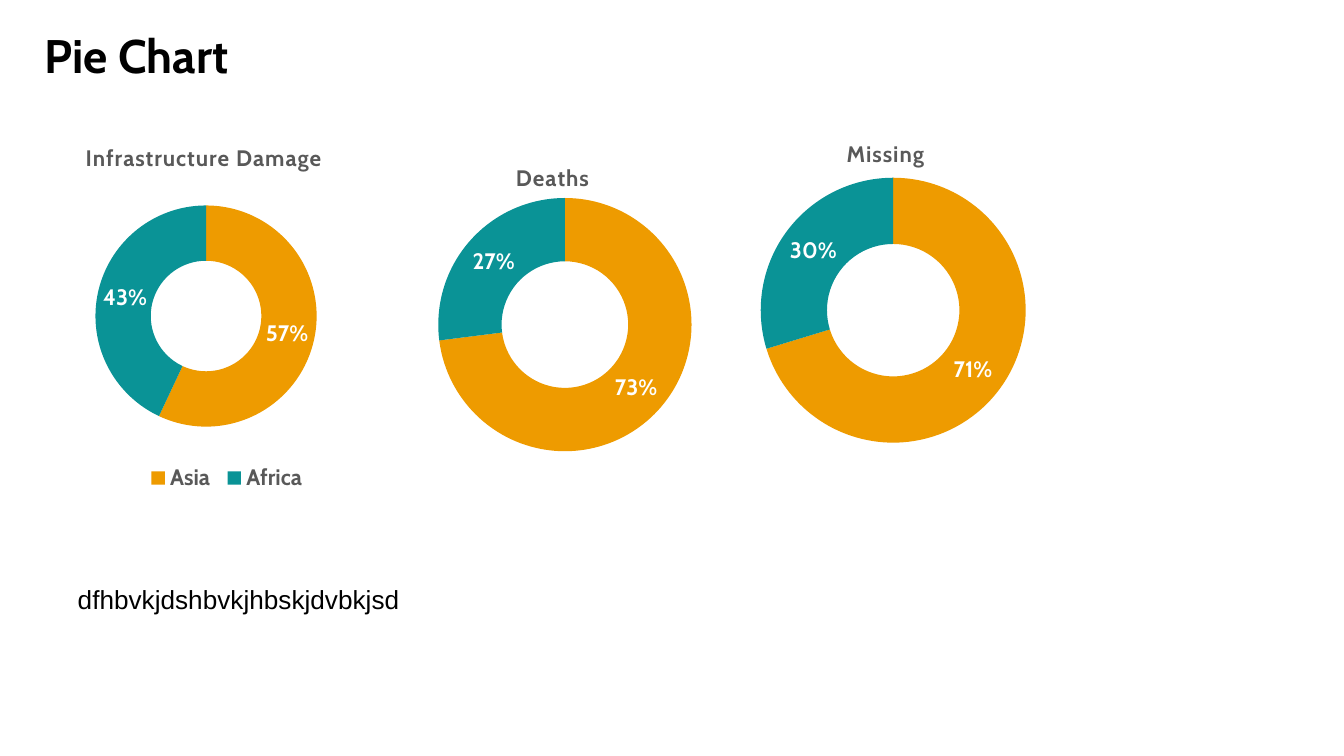
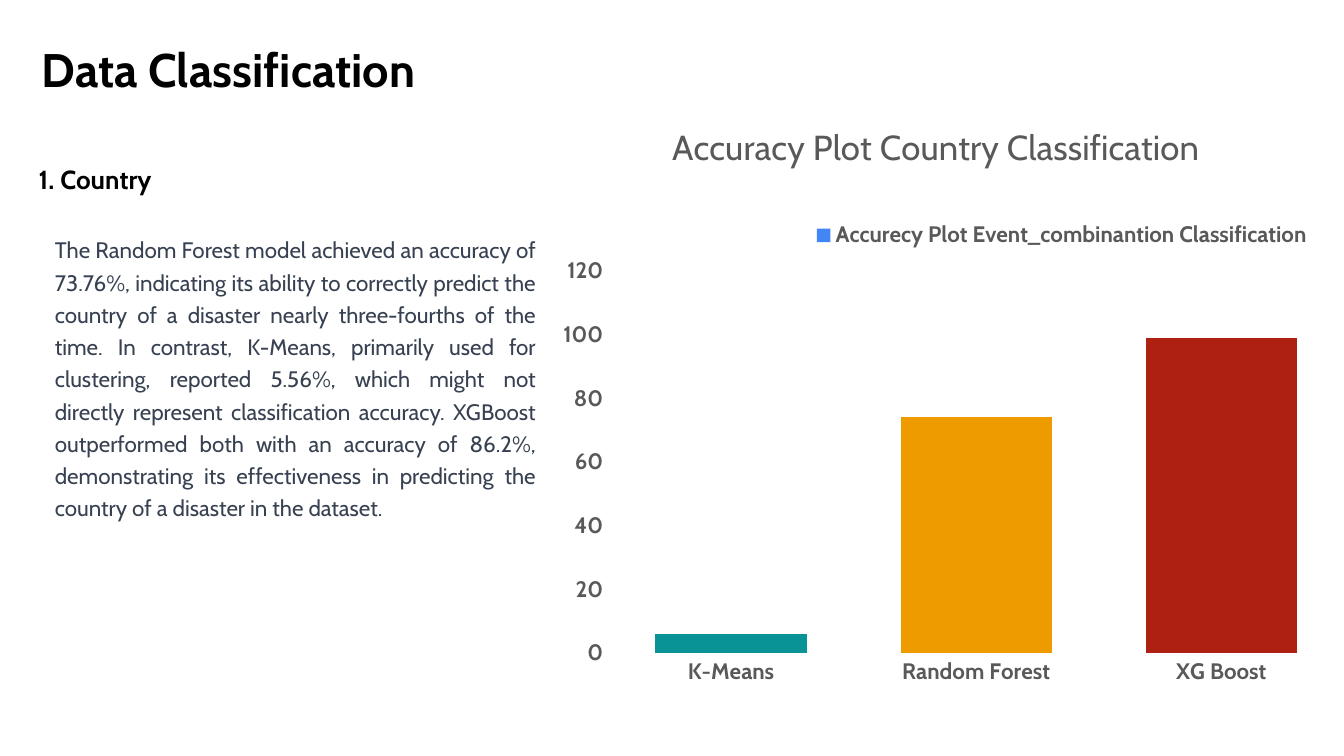
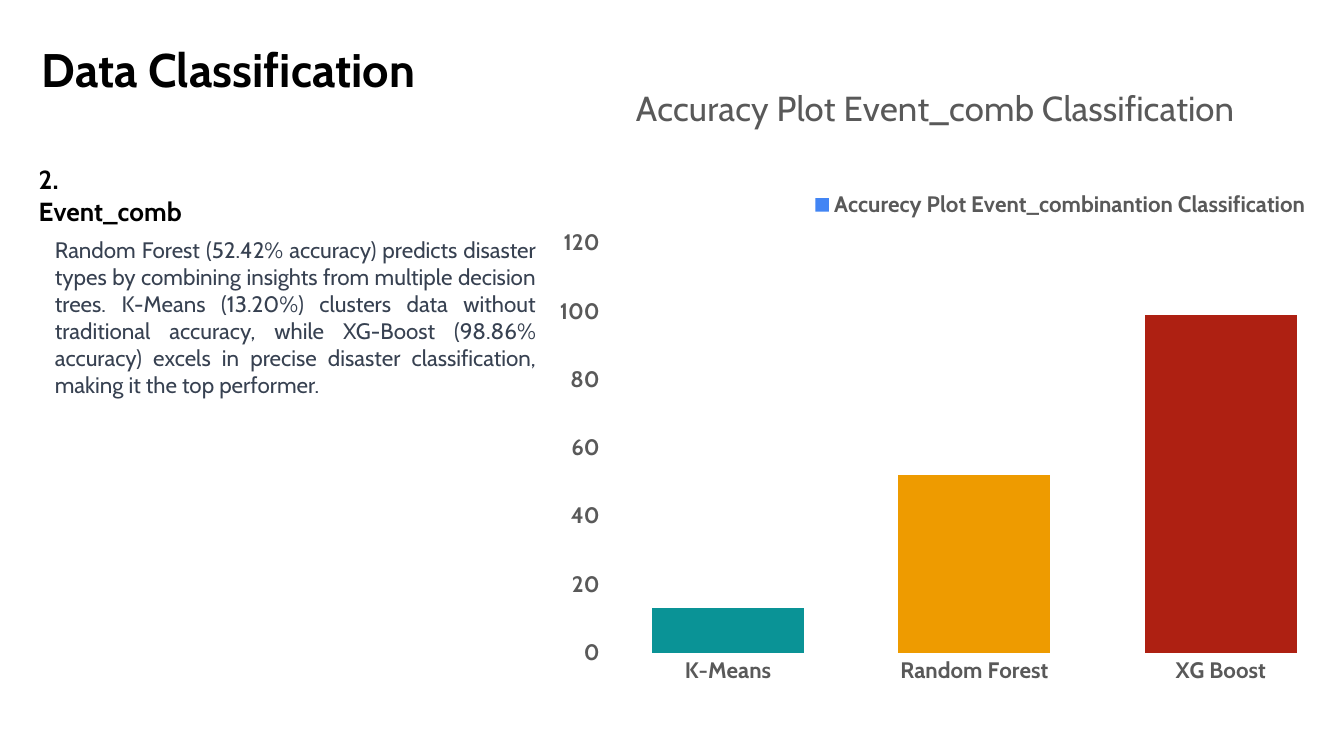
from pptx import Presentation
from pptx.chart.data import CategoryChartData
from pptx.dml.color import RGBColor
from pptx.enum.chart import XL_CHART_TYPE, XL_LEGEND_POSITION, XL_TICK_MARK
from pptx.enum.text import MSO_ANCHOR, MSO_AUTO_SIZE, PP_ALIGN
from pptx.oxml import parse_xml
from pptx.oxml.ns import nsdecls, qn
from pptx.util import Pt

PX = 9144  # 100 px to the inch
FONT = "Cabin"
BLACK, WHITE, GREY, SLATE = "000000", "FFFFFF", "595959", "374151"
BLUE, TEAL, AMBER, RED = "4285F4", "0A9396", "EE9B00", "AE2012"
TITLE_ONLY = 5


def px(*lengths):
    return [n * PX for n in lengths]


def rgb(value):
    return RGBColor.from_string(value)


def set_font(font, size, color, bold=False, name=FONT):
    font.name, font.size, font.bold = name, Pt(size), bold
    font.color.rgb = rgb(color)


def paint(fmt, color):
    fmt.fill.solid()
    fmt.fill.fore_color.rgb = rgb(color)


def add_titled_slide(prs, text, left, top):
    s = prs.slides.add_slide(prs.slide_layouts[TITLE_ONLY])
    title = s.shapes.title
    title.left, title.top, title.width, title.height = px(left, top, 932, 63)
    tf = title.text_frame
    tf.text = text
    tf.auto_size = MSO_AUTO_SIZE.NONE
    tf.vertical_anchor = MSO_ANCHOR.TOP
    tf.margin_left = tf.margin_right = tf.margin_top = tf.margin_bottom = 10 * PX
    p = tf.paragraphs[0]
    p.alignment = PP_ALIGN.LEFT
    set_font(p.font, 25.2, BLACK, True)
    return s


def add_text(s, text, box, size, color=BLACK, bold=False, name=FONT):
    tf = s.shapes.add_textbox(*px(*box)).text_frame
    tf.word_wrap = True
    p = tf.paragraphs[0]
    p.text = text
    set_font(p.font, size, color, bold, name)
    return tf


def add_body(s, text, top, line_spacing):
    tf = add_text(s, text, (19, top, 390, 151), 12, SLATE)
    tf.margin_top = tf.margin_bottom = 10 * PX
    p = tf.paragraphs[0]
    p.alignment = PP_ALIGN.JUSTIFY
    p.line_spacing = line_spacing
    p._p.get_or_add_pPr().set("marL", str(12 * PX))


def place(node, after, x, y, w=None, h=None, inner=False):
    """Give a chart part a manual layout in fractions of the chart."""
    for old in node.findall(qn("c:layout")):
        node.remove(old)
    target = '<c:layoutTarget val="inner"/>' if inner else ""
    modes = "".join(f'<c:{k}Mode val="edge"/>' for k in "xy")
    sizes = "".join(f'<c:{k} val="{v}"/>' for k, v in zip("xywh", (x, y, w, h))
                    if v is not None)
    layout = parse_xml(f'<c:layout {nsdecls("c")}><c:manualLayout>{target}{modes}{sizes}'
                       '</c:manualLayout></c:layout>')
    if after:
        node.find(qn(after)).addnext(layout)
    else:
        node.insert(0, layout)


def add_chart(s, kind, box, cats, series, values, plot, title, title_at, title_font,
              legend_at=None):
    data = CategoryChartData()
    data.categories = cats
    data.add_series(series, values)
    chart = s.shapes.add_chart(kind, *px(*box), data).chart
    set_font(chart.font, 10, BLACK, name="Arial")
    root = chart.element
    root.find(qn("c:txPr")).addprevious(parse_xml(
        f'<c:spPr {nsdecls("c", "a")}><a:noFill/><a:ln><a:noFill/></a:ln></c:spPr>'))

    chart.has_title = True
    p = chart.chart_title.text_frame.paragraphs[0]
    p.text = title
    set_font(p.runs[0].font, *title_font)
    place(root.find(".//" + qn("c:title")), "c:tx", *title_at)
    place(root.find(".//" + qn("c:plotArea")), None, *plot, inner=True)

    chart.has_legend = legend_at is not None
    if legend_at:
        chart.legend.position = XL_LEGEND_POSITION.TOP
        chart.legend.include_in_layout = False
        set_font(chart.legend.font, 12, GREY, True)
        place(root.find(".//" + qn("c:legend")), "c:legendPos", *legend_at)
    return chart


def color_points(chart, colors):
    for i, color in enumerate(colors):
        paint(chart.plots[0].series[0].points[i].format, color)


def add_doughnut(s, left, top, title, title_at, cats, values, plot, legend_at=None):
    chart = add_chart(s, XL_CHART_TYPE.DOUGHNUT, (left, top, 343, 290), cats, "Series 1",
                      values, plot, title, title_at, (12, GREY, True), legend_at)
    run = chart.chart_title.text_frame.paragraphs[0].runs[0]
    run.font._element.set("spc", "50")
    color_points(chart, (AMBER, TEAL))
    ring = chart.plots[0]
    ring.has_data_labels = True
    labels = ring.data_labels
    labels.show_value = True
    labels.show_percentage = False
    labels.number_format = '0"%"'
    labels.number_format_is_linked = False
    set_font(labels.font, 12, WHITE, True)


def add_accuracy_columns(s, box, title, title_at, values):
    chart = add_chart(s, XL_CHART_TYPE.COLUMN_CLUSTERED, box,
                      ("K-Means", "Random Forest", "XG Boost"),
                      "Accurecy Plot Event_combinantion Classification", values,
                      (0.1, 0.29, 0.9, 0.64), title, title_at, (18.6, GREY),
                      (0.33, 0.2, 0.65, 0.06))
    plot = chart.plots[0]
    plot.gap_width = 62
    plot.vary_by_categories = False
    paint(plot.series[0].format, BLUE)
    color_points(chart, (TEAL, AMBER, RED))
    for axis in (chart.category_axis, chart.value_axis):
        axis.has_major_gridlines = False
        axis.major_tick_mark = axis.minor_tick_mark = XL_TICK_MARK.NONE
        axis.format.line.fill.background()
        set_font(axis.tick_labels.font, 12, GREY, True)
    axis = chart.value_axis
    axis.minimum_scale, axis.maximum_scale, axis.major_unit = 0, 120, 20


def pie_slide(prs):
    s = add_titled_slide(prs, "Pie Chart", 23, 10)
    add_text(s, "dfhbvkjdshbvkjhbskjdvbkjsd", (48, 429, 265, 34), 14, name="Arial")
    add_doughnut(s, 23, 83, "Infrastructure Damage", (0.11, 0.07), ("Asia", "Africa"),
                 (57, 43), (0.14, 0.24, 0.48, 0.57), (0.24, 0.91, 0.37, 0.08))
    add_doughnut(s, 278, 101, "Deaths", (0.3, 0.06), ("1", "2"),
                 (73, 27), (0.14, 0.16, 0.55, 0.65))
    add_doughnut(s, 500, 83, "Missing", (0.37, 0.06), ("1", "2"),
                 (71, 30), (0.19, 0.17, 0.58, 0.68))


def classification_slide(prs, heading, heading_width, body, body_top, line_spacing,
                         box, title, title_at, values):
    s = add_titled_slide(prs, "Data Classification", 21, 20)
    add_body(s, body, body_top, line_spacing)
    add_text(s, heading, (19, 117, heading_width, 34), 14, bold=True)
    add_accuracy_columns(s, box, title, title_at, values)


def main():
    prs = Presentation()
    prs.slide_width = 1000 * PX
    prs.slide_height = prs.slide_width * 9 // 16
    pie_slide(prs)
    classification_slide(
        prs, "1. Country", 110,
        "The Random Forest model achieved an accuracy of 73.76%, indicating its ability to "
        "correctly predict the country of a disaster nearly three-fourths of the time. In "
        "contrast, K-Means, primarily used for clustering, reported 5.56%, which might not "
        "directly represent classification accuracy. XGBoost outperformed both with an "
        "accuracy of 86.2%, demonstrating its effectiveness in predicting the country of a "
        "disaster in the dataset.", 162, 1.2,
        (392, 73, 608, 444), "Accuracy Plot Country Classification", (0.17, 0.03),
        (6, 74, 99))
    classification_slide(
        prs, "2. Event_comb", 140,
        "Random Forest (52.42% accuracy) predicts disaster types by combining insights from "
        "multiple decision trees. K-Means (13.20%) clusters data without traditional "
        "accuracy, while XG-Boost (98.86% accuracy) excels in precise disaster "
        "classification, making it the top performer.", 166, 1.0,
        (389, 43, 611, 476), "Accuracy Plot Event_comb Classification", (0.13, 0.03),
        (13, 52, 99))
    prs.save("out.pptx")


if __name__ == "__main__":
    main()
